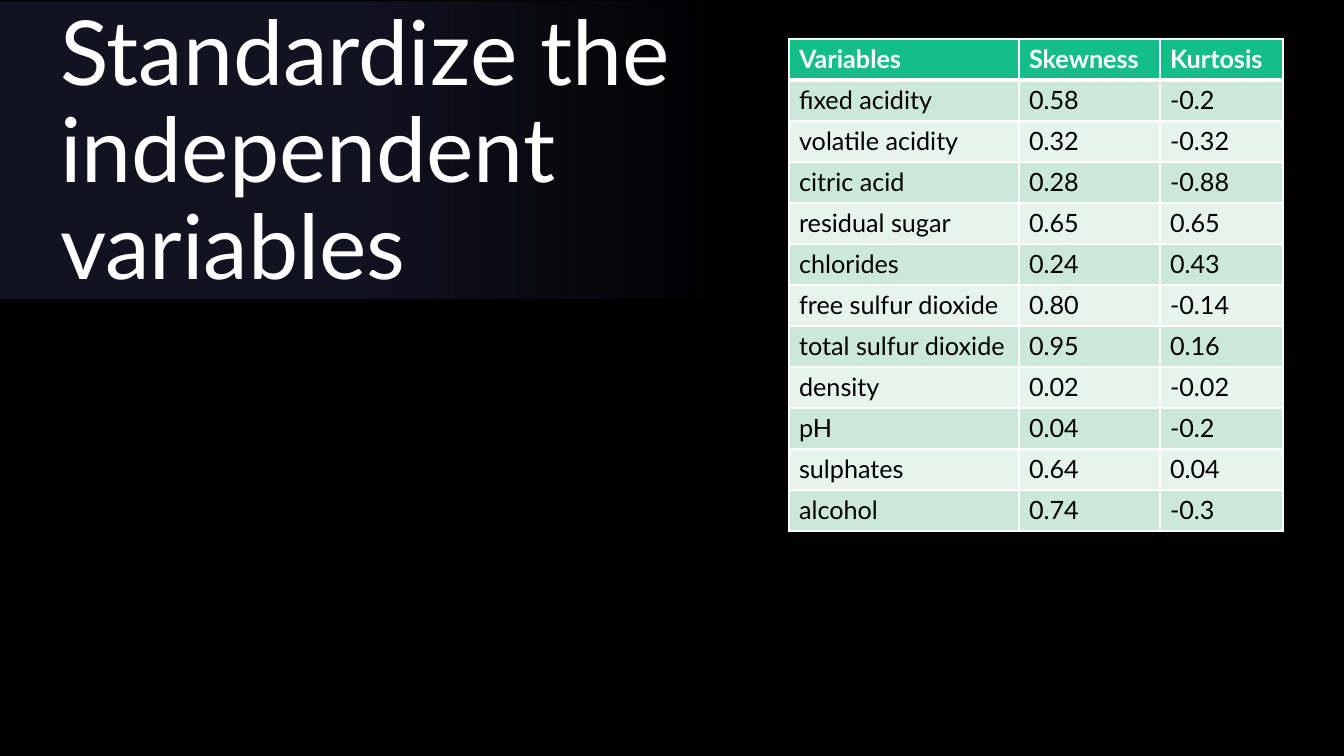
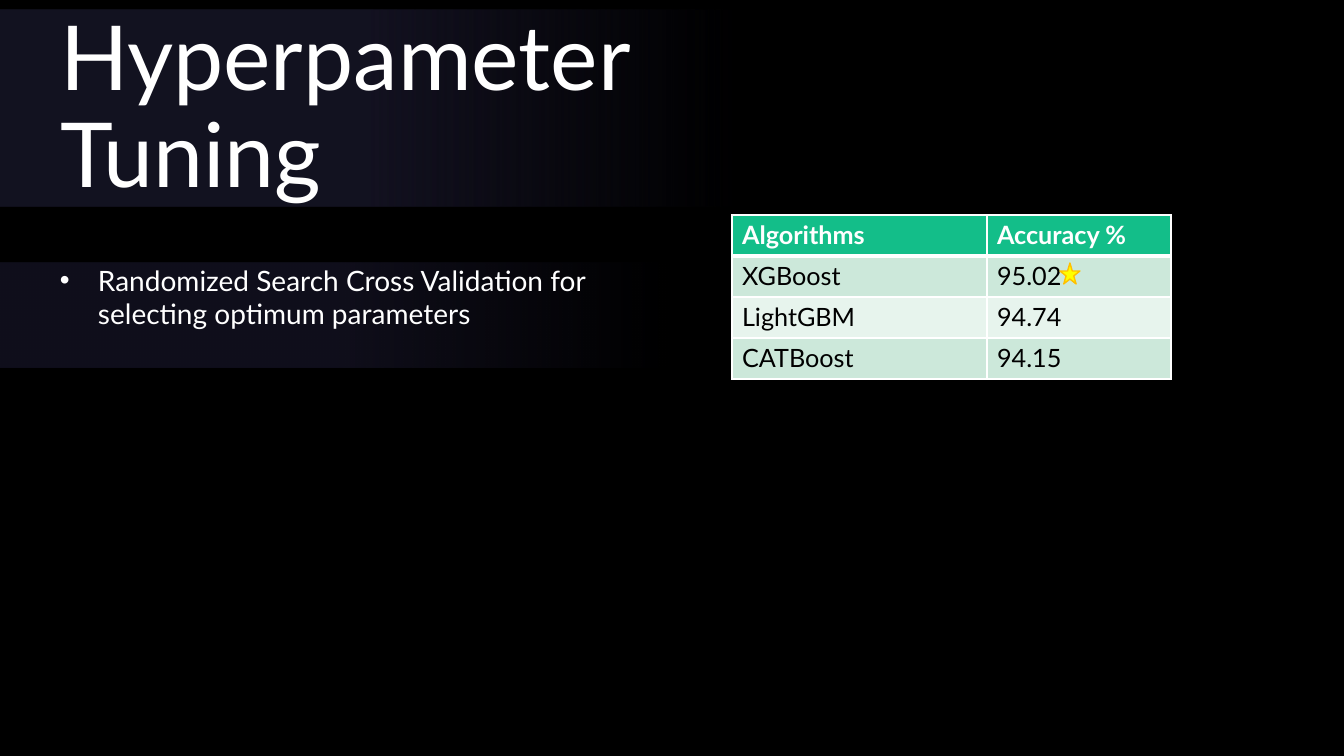
from lxml import etree
from pptx import Presentation
from pptx.dml.color import RGBColor
from pptx.enum import shapes, text
from pptx.oxml import ns
from pptx.util import Emu, Pt

BLACK = RGBColor(0x00, 0x00, 0x00)
WHITE = RGBColor(0xFF, 0xFF, 0xFF)
NAVY = RGBColor(0x1B, 0x19, 0x2E)
GREEN = RGBColor(0x13, 0xBE, 0x89)
MINT = RGBColor(0xCC, 0xE8, 0xDA)
PALE = RGBColor(0xE7, 0xF4, 0xED)
YELLOW = RGBColor(0xFF, 0xFF, 0x00)
GOLD = RGBColor(0xFF, 0xC0, 0x00)

FONT = "Lato"
SCALE = 914400 / 100.8
ROW_HEIGHT = 41

TITLE_FORMAT = {"alignment": text.PP_ALIGN.LEFT, "line_spacing": 0.9,
                "space_before": Pt(0), "space_after": Pt(12)}
LIST_FORMAT = {"alignment": text.PP_ALIGN.LEFT, "line_spacing": 1.0,
               "space_before": Pt(10), "space_after": Pt(8)}
FRAME_FORMAT = {"word_wrap": True, "auto_size": text.MSO_AUTO_SIZE.NONE,
                "margin_left": 0, "margin_top": 0, "margin_right": 0, "margin_bottom": 0}


def px(n):
    return Emu(round(n * SCALE))


def apply(target, values):
    for name, value in values.items():
        setattr(target, name, value)


def add_xml(parent, tag, **attributes):
    return etree.SubElement(parent, ns.qn(tag), attributes)


class Deck:
    def __init__(self):
        self.prs = Presentation()
        apply(self.prs, {"slide_width": px(1344), "slide_height": px(756)})
        fill = self.prs.slide_master.background.fill
        fill.solid()
        fill.fore_color.rgb = BLACK
        self.slide = None

    def new_slide(self):
        self.slide = self.prs.slides.add_slide(self.prs.slide_layouts[0])

    def place(self, sp, box):
        apply(sp, dict(zip(("left", "top", "width", "height"), map(px, box))))

    def style_run(self, r, size, color, bold=False):
        apply(r.font, {"name": FONT, "size": Pt(size), "bold": bold})
        r.font.color.rgb = color

    def fade(self, sp, opacity):
        sp.fill.gradient()
        sp.fill.gradient_angle = 180
        for stop, position in zip(sp.fill.gradient_stops, (0, 0.5)):
            stop.position = position
            stop.color.rgb = NAVY
        colors = sp._element.spPr.iter(ns.qn("a:srgbClr"))
        for color, alpha in zip(colors, (0, opacity)):
            add_xml(color, "a:alpha", val=str(alpha * 1000))

    def band(self, sp, box, words, size, anchor, opacity, paragraph_format, margin, indent):
        self.place(sp, box)
        self.fade(sp, opacity)
        tf = sp.text_frame
        apply(tf, {**FRAME_FORMAT, "vertical_anchor": anchor})
        p = tf.paragraphs[0]
        apply(p, paragraph_format)
        apply_indent = {"marL": px(margin), "indent": px(indent)}
        pPr = p._p.get_or_add_pPr()
        for name, value in apply_indent.items():
            pPr.set(name, str(value))
        r = p.add_run()
        r.text = words
        self.style_run(r, size, WHITE)
        return pPr

    def title(self, box, words):
        self.band(self.slide.shapes.title, box, words, 64, text.MSO_ANCHOR.BOTTOM,
                  70, TITLE_FORMAT, 60, 0)

    def bullet(self, box, words):
        pPr = self.band(self.slide.placeholders[1], box, words, 20, text.MSO_ANCHOR.TOP,
                        60, LIST_FORMAT, 98, -38)
        add_xml(pPr, "a:buFont", typeface="Arial")
        add_xml(pPr, "a:buChar", char="•")

    def border(self, cell, widths):
        tcPr = cell._tc.get_or_add_tcPr()
        for i, (side, width) in enumerate(widths.items()):
            ln = add_xml(tcPr, "a:ln" + side, w=str(Pt(width)))
            add_xml(add_xml(ln, "a:solidFill"), "a:srgbClr", val=str(WHITE))
            tcPr.insert(i, ln)

    def table(self, left, top, widths, rows):
        frame = self.slide.shapes.add_table(
            len(rows), len(widths), px(left), px(top),
            px(sum(widths)), px(ROW_HEIGHT * len(rows)))
        table = frame.table
        for column, width in zip(table.columns, widths):
            column.width = px(width)
        for i, values in enumerate(rows):
            table.rows[i].height = px(ROW_HEIGHT)
            header = i == 0
            for cell, value in zip(table.rows[i].cells, values):
                cell.fill.solid()
                cell.fill.fore_color.rgb = GREEN if header else (PALE, MINT)[i % 2]
                r = cell.text_frame.paragraphs[0].add_run()
                r.text = value
                self.style_run(r, 18, WHITE if header else BLACK, header)
                self.border(cell, {"L": 1, "R": 1, "T": 3 if i == 1 else 1,
                                   "B": 3 if header else 1})

    def star(self, box):
        sp = self.slide.shapes.add_shape(shapes.MSO_SHAPE.STAR_5_POINT, *map(px, box))
        sp.shadow.inherit = False
        sp.fill.solid()
        sp.fill.fore_color.rgb = YELLOW
        sp.line.color.rgb = GOLD
        sp.line.width = Pt(1)

    def drop_empty(self):
        for sp in list(self.slide.placeholders):
            if not sp.text_frame.text:
                sp._element.getparent().remove(sp._element)


deck = Deck()

deck.new_slide()
deck.title((0, 2, 732, 297), "Standardize the independent variables")
deck.table(789, 39, (230, 141, 123), (
    ("Variables", "Skewness", "Kurtosis"),
    ("fixed acidity", "0.58", "-0.2"),
    ("volatile acidity", "0.32", "-0.32"),
    ("citric acid", "0.28", "-0.88"),
    ("residual sugar", "0.65", "0.65"),
    ("chlorides", "0.24", "0.43"),
    ("free sulfur dioxide", "0.80", "-0.14"),
    ("total sulfur dioxide", "0.95", "0.16"),
    ("density", "0.02", "-0.02"),
    ("pH", "0.04", "-0.2"),
    ("sulphates", "0.64", "0.04"),
    ("alcohol", "0.74", "-0.3"),
))
deck.drop_empty()

deck.new_slide()
deck.title((0, 10, 732, 197), "Hyperpameter Tuning")
deck.bullet((0, 263, 672, 104),
            "Randomized Search Cross Validation for selecting optimum parameters")
deck.table(732, 215, (255, 184), (
    ("Algorithms", "Accuracy %"),
    ("XGBoost", "95.02"),
    ("LightGBM", "94.74"),
    ("CATBoost", "94.15"),
))
deck.star((1060, 263, 20, 21))

deck.prs.save("out.pptx")
